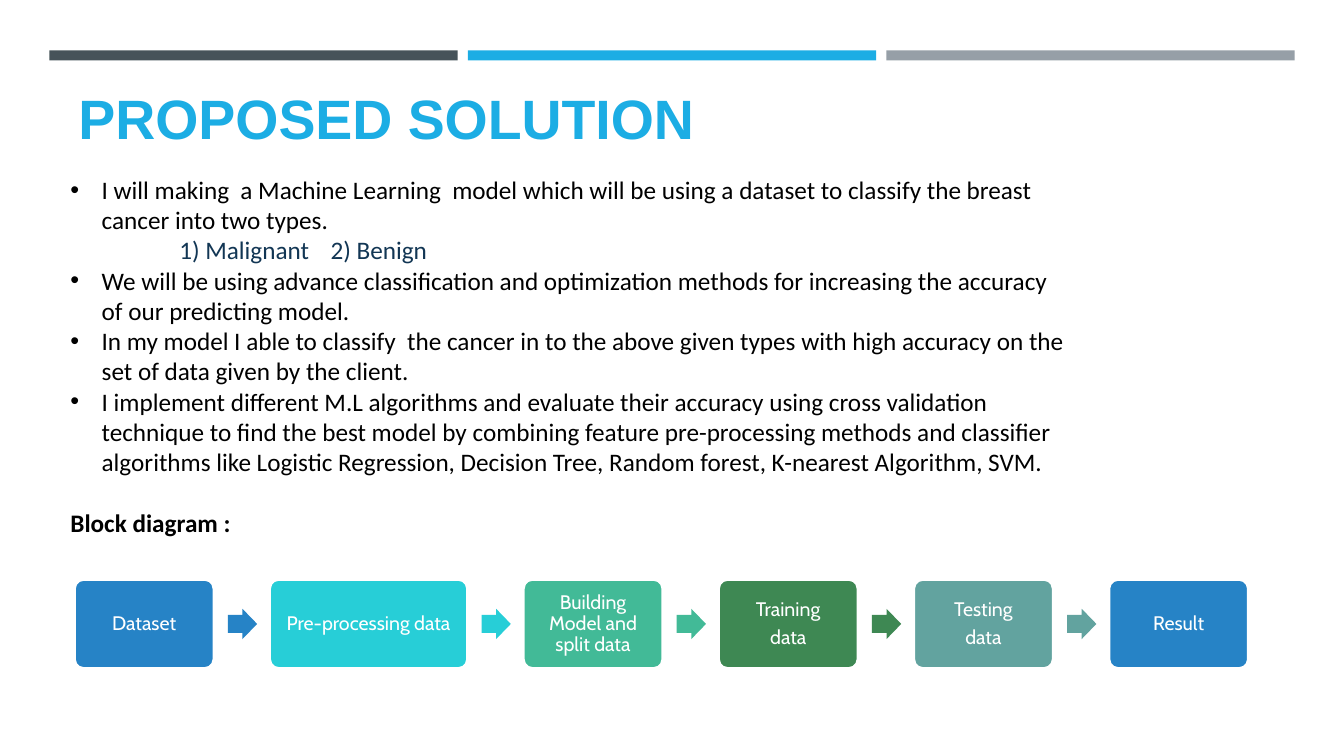
import pptx
import pptx.util
import pptx.dml.color
import pptx.enum.shapes
import pptx.enum.text
import pptx.oxml
import pptx.oxml.ns

Inches = pptx.util.Inches
Pt = pptx.util.Pt
SHAPE = pptx.enum.shapes.MSO_SHAPE
ALIGN = pptx.enum.text.PP_ALIGN
ANCHOR = pptx.enum.text.MSO_ANCHOR

BAR_COLORS = ["465359", "1CADE4", "969FA7"]
POINTS = [
    "I will making  a Machine Learning  model which will be using a dataset "
    "to classify the breast cancer into two types.",
    "We will be using advance classification and optimization methods for "
    "increasing the accuracy of our predicting model.",
    "In my model I able to classify  the cancer in to the above given types "
    "with high accuracy on the set of data given by the client.",
    "I implement different M.L algorithms and evaluate their accuracy using "
    "cross validation technique to find the best model by combining feature "
    "pre-processing methods and classifier algorithms like Logistic "
    "Regression, Decision Tree, Random forest, K-nearest Algorithm, SVM.",
]
CANCER_TYPES = "1) Malignant\t2) Benign"
STAGES = [  # lines, width, color
    (["Dataset"], 1.38, "2683C6"),
    (["Pre-processing data"], 1.96, "27CED7"),
    (["Building Model and split data"], 1.38, "42BA97"),
    (["Training", "data"], 1.38, "3E8853"),
    (["Testing", "data"], 1.38, "62A39F"),
    (["Result"], 1.38, "2683C6"),
]


def rgb(color):
    return pptx.dml.color.RGBColor.from_string(color)


def set_all(target, values):
    for name, value in values.items():
        setattr(target, name, value)


def add_run(paragraph, text, color, **font):
    run = paragraph.add_run()
    run.text = text
    set_all(run.font, font)
    run.font.color.rgb = rgb(color)


def add_filled(slide, kind, box, color, adjustments=()):
    shape = slide.shapes.add_shape(kind, *map(Inches, box))
    shape.shadow.inherit = False
    shape.fill.solid()
    shape.fill.fore_color.rgb = rgb(color)
    shape.line.fill.background()
    for index, value in enumerate(adjustments):
        shape.adjustments[index] = value
    return shape


def add_text_frame(slide, box, **frame_format):
    frame = slide.shapes.add_textbox(*map(Inches, box)).text_frame
    set_all(frame, {"word_wrap": True, **frame_format})
    return frame


def indent(paragraph, left, first=0.0, bullet=None, tab=None):
    properties = paragraph._p.get_or_add_pPr()
    properties.set("marL", str(Inches(left)))
    properties.set("indent", str(Inches(first)))
    ns = pptx.oxml.ns.nsdecls("a")
    if bullet:
        properties.append(pptx.oxml.parse_xml(f'<a:buFont {ns} typeface="Arial"/>'))
        properties.append(pptx.oxml.parse_xml(f'<a:buChar {ns} char="{bullet}"/>'))
    if tab:
        properties.append(pptx.oxml.parse_xml(
            f'<a:tabLst {ns}><a:tab pos="{Inches(tab)}" algn="l"/></a:tabLst>'))


def draw_top_bars(slide, box):
    left, top, width, height = box
    gap = 0.1
    bar_width = (width - gap * (len(BAR_COLORS) - 1)) / len(BAR_COLORS)
    for index, color in enumerate(BAR_COLORS):
        bar_left = left + index * (bar_width + gap)
        add_filled(slide, SHAPE.RECTANGLE, (bar_left, top, bar_width, height), color)


def draw_title(slide, box):
    frame = add_text_frame(slide, box, vertical_anchor=ANCHOR.BOTTOM)
    add_run(frame.paragraphs[0], "PROPOSED SOLUTION", "1CADE4",
            name="Arial", size=Pt(39.6), bold=True)


def draw_description(slide, box):
    frame = add_text_frame(slide, box,
                           auto_size=pptx.enum.text.MSO_AUTO_SIZE.SHAPE_TO_FIT_TEXT)
    font = {"name": "Calibri", "size": Pt(18)}
    for index, point in enumerate(POINTS):
        paragraph = frame.add_paragraph() if index else frame.paragraphs[0]
        indent(paragraph, 0.31, -0.31, bullet="•")
        add_run(paragraph, point, "000000", **font)
        if index == 0:
            types = frame.add_paragraph()
            indent(types, 1.08, tab=3.43)
            add_run(types, CANCER_TYPES, "123654", **font)
    heading = frame.add_paragraph()
    heading.space_before = Pt(22)
    add_run(heading, "Block diagram :", "000000", bold=True, **font)


def draw_stage(slide, box, lines, color):
    stage = add_filled(slide, SHAPE.ROUNDED_RECTANGLE, box, color, [0.1])
    stage.line.color.rgb = rgb("FFFFFF")
    stage.line.width = Pt(1.75)
    frame = stage.text_frame
    margins = {f"margin_{side}": Inches(0.08)
               for side in ("left", "top", "right", "bottom")}
    set_all(frame, {"word_wrap": True, "vertical_anchor": ANCHOR.MIDDLE, **margins})
    for index, line in enumerate(lines):
        paragraph = frame.add_paragraph() if index else frame.paragraphs[0]
        set_all(paragraph, {"alignment": ALIGN.CENTER, "line_spacing": 0.9,
                            "space_before": Pt(5 if index else 0)})
        add_run(paragraph, line, "FFFFFF", name="Cabin", size=Pt(14))


def draw_block_diagram(slide, box):
    left, top, width, height = box
    arrow_width, arrow_height, arrow_offset = 0.29, 0.3, 0.14
    gap = (width - sum(stage[1] for stage in STAGES)) / (len(STAGES) - 1)
    arrow_top = top + (height - arrow_height) / 2
    for index, (lines, stage_width, color) in enumerate(STAGES):
        draw_stage(slide, (left, top, stage_width, height), lines, color)
        left += stage_width
        # Every stage but the last points to the next one
        if index < len(STAGES) - 1:
            arrow_box = (left + arrow_offset, arrow_top, arrow_width, arrow_height)
            add_filled(slide, SHAPE.RIGHT_ARROW, arrow_box, color, [0.6, 0.5])
        left += gap


def main():
    presentation = pptx.Presentation()
    set_all(presentation, {"slide_width": Inches(13.33), "slide_height": Inches(7.5)})
    slide = presentation.slides.add_slide(presentation.slide_layouts[6])
    draw_top_bars(slide, (0.49, 0.5, 12.35, 0.1))
    draw_title(slide, (0.68, 0.96, 12.06, 0.58))
    draw_description(slide, (0.6, 1.68, 10.12, 3.74))
    draw_block_diagram(slide, (0.74, 5.75, 11.64, 0.88))
    presentation.save("out.pptx")


if __name__ == "__main__":
    main()
